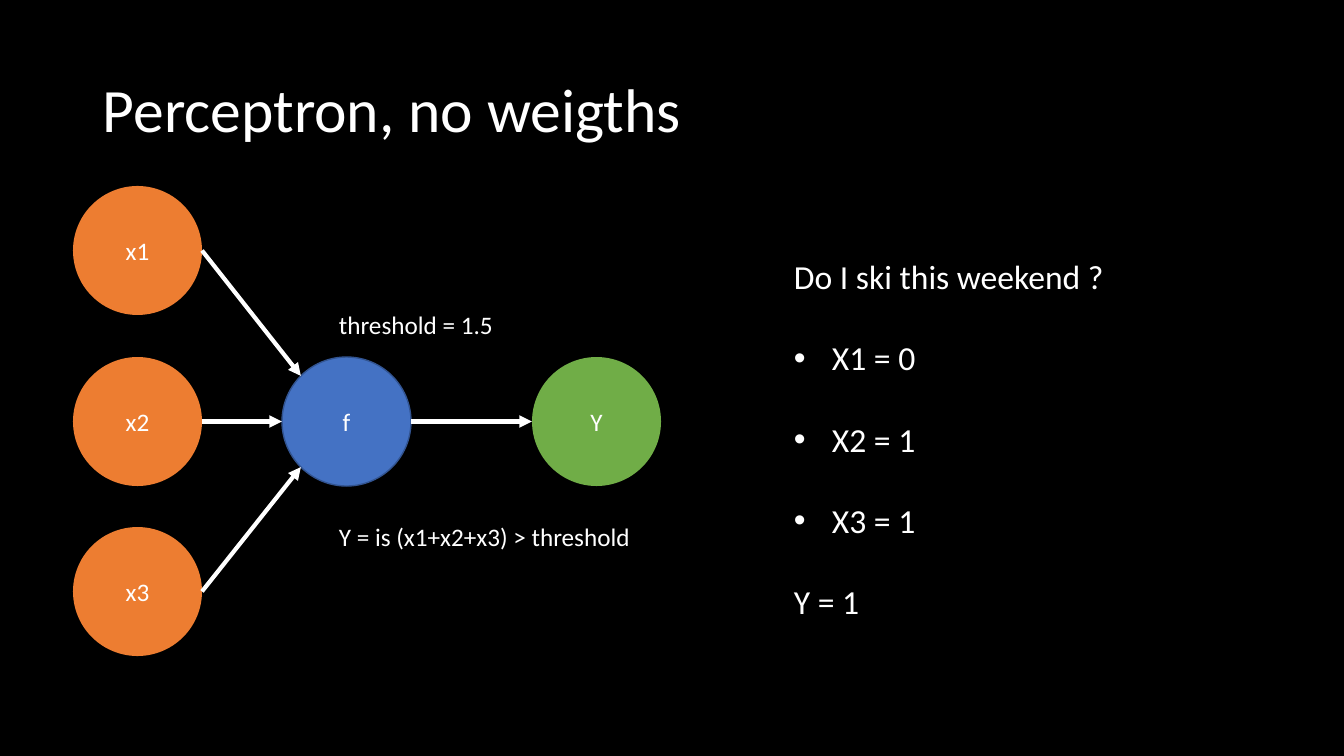
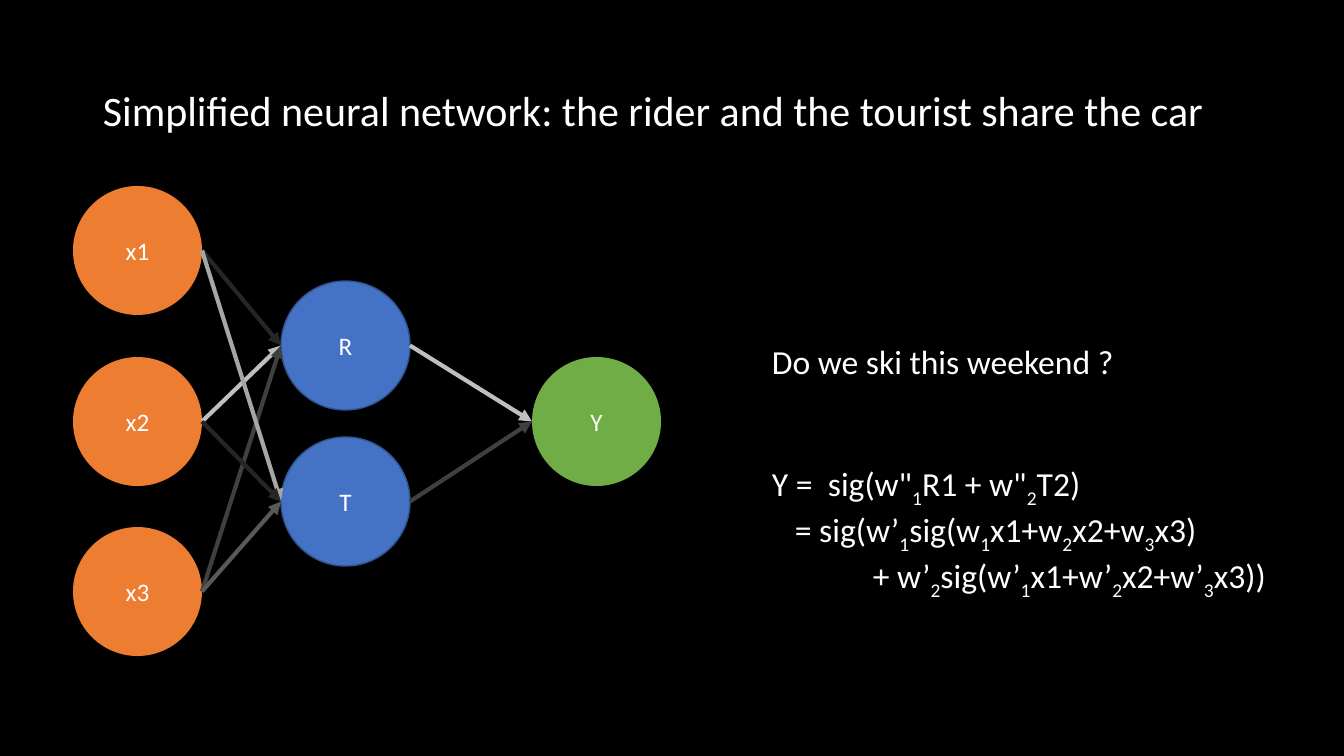
from dataclasses import dataclass
from math import cos, radians, sin

from lxml.etree import SubElement as Sub
from pptx import Presentation
from pptx.dml.color import RGBColor as Rgb
from pptx.enum.shapes import MSO_CONNECTOR as Conn, MSO_SHAPE as Form
from pptx.enum.text import MSO_ANCHOR as Anchor, MSO_AUTO_SIZE as Auto, PP_ALIGN as Align
from pptx.oxml.ns import qn
from pptx.slide import Slide
from pptx.text.text import TextFrame, _Paragraph as Para
from pptx.util import Emu, Pt

WIDE, HIGH = 1344, 756
SCALE = 12192000 / WIDE
FONT = "Calibri"
SIZE = 129
LINE = 29.3

BLACK = Rgb(0x00, 0x00, 0x00)
WHITE = Rgb(0xFF, 0xFF, 0xFF)
ORANGE = Rgb(0xED, 0x7D, 0x31)
BLUE = Rgb(0x44, 0x72, 0xC4)
NAVY = Rgb(0x32, 0x54, 0x91)
GREEN = Rgb(0x70, 0xAD, 0x47)
COAL = Rgb(0x26, 0x26, 0x26)
DARK = Rgb(0x40, 0x40, 0x40)
GREY = Rgb(0x59, 0x59, 0x59)
ASH = Rgb(0xA6, 0xA6, 0xA6)
PALE = Rgb(0xBF, 0xBF, 0xBF)

LEFT, RIGHT = 180, 0


def px(size: float) -> Emu:
    return Emu(round(size * SCALE))


@dataclass(frozen=True)
class Node:
    name: str
    x: int
    y: int
    fill: Rgb
    edge: Rgb | None = None

    def rim(self, angle: int) -> tuple[Emu, Emu]:
        half = SIZE / 2
        turn = radians(angle)
        return px(self.x + half + half * cos(turn)), px(self.y + half + half * sin(turn))


@dataclass(frozen=True)
class Link:
    start: Node
    end: Node
    color: Rgb = WHITE
    angle: int = LEFT


@dataclass(frozen=True)
class Row:
    text: str
    gap: float = 0
    indent: int = 0
    bullet: bool = False
    tab: int = 0


@dataclass(frozen=True)
class Box:
    x: int
    y: int
    wide: int
    high: int


INPUTS = [Node(f"x{i}", 73, y, ORANGE) for i, y in enumerate((186, 357, 527), 1)]
OUTPUT = Node("Y", 532, 357, GREEN)
HEAD = Box(93, 40, 1159, 146)


def style(para: Para, size: int) -> None:
    for run in para.runs:
        run.font.name = FONT
        run.font.size = Pt(size)
        run.font.color.rgb = WHITE


def frame(slide: Slide, box: Box) -> TextFrame:
    area = slide.shapes.add_textbox(px(box.x), px(box.y), px(box.wide), px(box.high))
    area.text_frame.word_wrap = True
    return area.text_frame


def title(slide: Slide, text: str, size: int) -> None:
    body = frame(slide, HEAD)
    body.vertical_anchor = Anchor.MIDDLE
    body.text = text
    body.paragraphs[0].line_spacing = 0.9
    style(body.paragraphs[0], size)


def label(slide: Slide, text: str, box: Box) -> None:
    body = frame(slide, box)
    body.word_wrap = False
    body.auto_size = Auto.SHAPE_TO_FIT_TEXT
    body.text = text
    style(body.paragraphs[0], 18)


def fill(para: Para, row: Row) -> None:
    if row.gap:
        para.space_before = Pt(row.gap)
    props = para._p.get_or_add_pPr()
    if row.indent:
        props.set("marL", str(px(row.indent)))
        props.set("indent", str(-px(row.indent) if row.bullet else 0))
    if row.bullet:
        Sub(props, qn("a:buFont"), typeface="Arial")
        Sub(props, qn("a:buChar"), char="•")
    if row.tab:
        stops = Sub(props, qn("a:tabLst"))
        Sub(stops, qn("a:tab"), pos=str(px(row.tab)), algn="l")
    first, *rest = row.text.split("_")
    para.text = first
    for part in rest:
        sub = para.add_run()
        sub.text = part[0]
        sub._r.get_or_add_rPr().set("baseline", "-25000")
        para.add_run().text = part[1:]
    style(para, 24)


def notes(slide: Slide, box: Box, rows: list[Row]) -> None:
    body = frame(slide, box)
    for i, row in enumerate(rows):
        fill(body.add_paragraph() if i else body.paragraphs[0], row)


def disc(slide: Slide, node: Node) -> None:
    shape = slide.shapes.add_shape(Form.OVAL, px(node.x), px(node.y), px(SIZE), px(SIZE))
    shape.shadow.inherit = False
    shape.fill.solid()
    shape.fill.fore_color.rgb = node.fill
    if node.edge is None:
        shape.line.fill.background()
    else:
        shape.line.color.rgb = node.edge
        shape.line.width = Pt(1)
    body = shape.text_frame
    body.vertical_anchor = Anchor.MIDDLE
    body.text = node.name
    body.paragraphs[0].alignment = Align.CENTER
    style(body.paragraphs[0], 18)


def arrow(slide: Slide, link: Link) -> None:
    ends = link.start.rim(RIGHT) + link.end.rim(link.angle)
    line = slide.shapes.add_connector(Conn.STRAIGHT, *ends)
    line.line.color.rgb = link.color
    line.line.width = Pt(3)
    Sub(line.line._get_or_add_ln(), qn("a:tailEnd"), type="triangle")
    Sub(line._element.spPr, qn("a:effectLst"))


def graph(slide: Slide, inner: list[Node], links: list[Link]) -> None:
    for node in [*INPUTS, *inner, OUTPUT]:
        disc(slide, node)
    for link in links:
        arrow(slide, link)


def single(slide: Slide) -> None:
    title(slide, "Perceptron, no weigths", 44)
    unit = Node("f", 282, 357, BLUE, NAVY)
    links = [Link(node, unit, angle=turn) for node, turn in zip(INPUTS, (225, LEFT, 135))]
    graph(slide, [unit], [*links, Link(unit, OUTPUT)])
    label(slide, "threshold = 1.5", Box(329, 304, 176, 40))
    label(slide, "Y = is (x1+x2+x3) > threshold", Box(329, 516, 314, 40))
    facts = [Row(text, LINE, 38, True) for text in ("X1 = 0", "X2 = 1", "X3 = 1")]
    rows = [Row("Do I ski this weekend ?"), *facts, Row("Y = 1", LINE)]
    notes(slide, Box(784, 251, 468, 377), rows)


def shared(slide: Slide) -> None:
    title(slide, "Simplified neural network: the rider and the tourist share the car", 30)
    rider, guest = [Node(name, 281, y, BLUE, NAVY) for name, y in (("R", 281), ("T", 437))]
    tones = {rider: (COAL, PALE, DARK), guest: (ASH, COAL, GREY)}
    links = [
        Link(node, unit, tone)
        for unit, shades in tones.items()
        for node, tone in zip(INPUTS, shades)
    ]
    outs = [Link(rider, OUTPUT, PALE), Link(guest, OUTPUT, DARK)]
    graph(slide, [rider, guest], links + outs)
    rows = [
        Row("Do we ski this weekend ?"),
        Row('Y =\tsig(w"_1R1 + w"_2T2)', 2 * LINE, tab=56),
        Row("= sig(w’_1sig(w_1x1+w_2x2+w_3x3)", indent=23),
        Row("+ w’_2sig(w’_1x1+w’_2x2+w’_3x3))", indent=101),
    ]
    notes(slide, Box(762, 336, 540, 254), rows)


def main() -> None:
    deck = Presentation()
    deck.slide_width, deck.slide_height = px(WIDE), px(HIGH)
    back = deck.slide_master.background.fill
    back.solid()
    back.fore_color.rgb = BLACK
    for draw in (single, shared):
        draw(deck.slides.add_slide(deck.slide_layouts[6]))
    deck.save("out.pptx")


if __name__ == "__main__":
    main()
